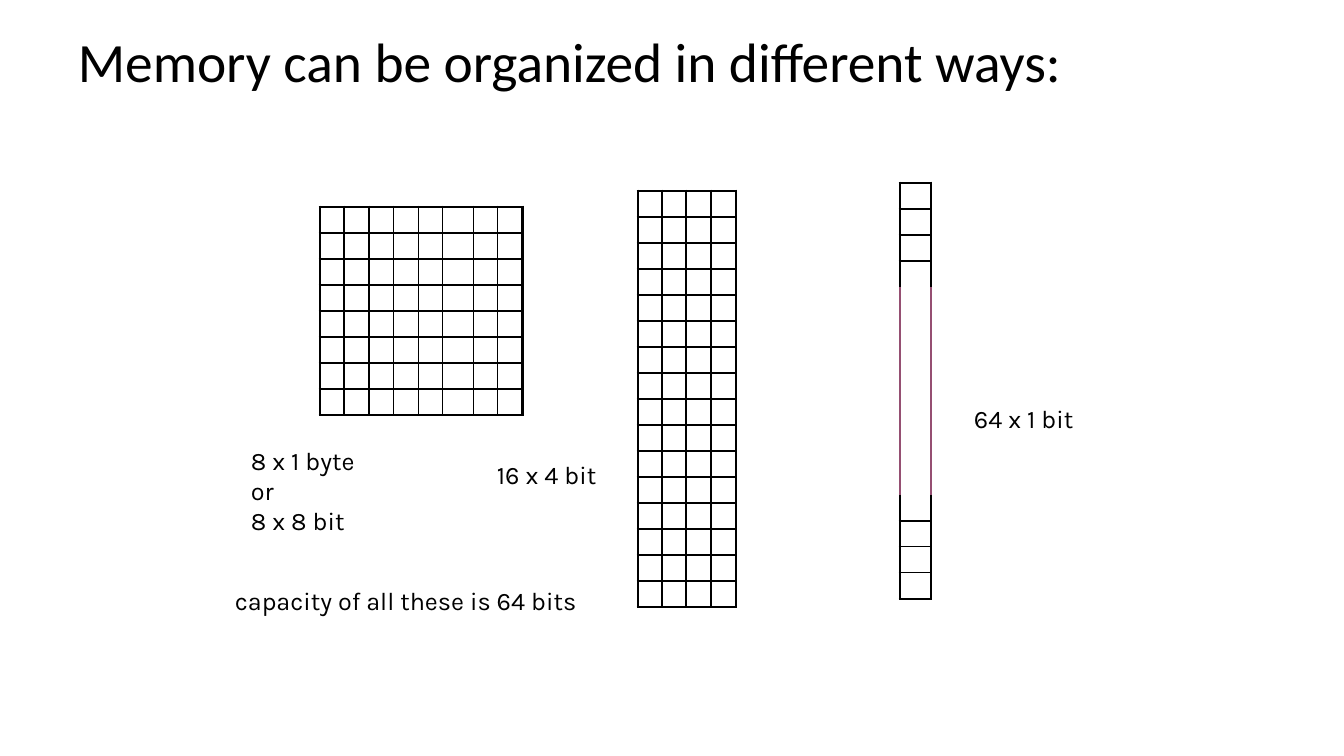
from lxml.etree import SubElement
from pptx import Presentation
from pptx.dml.color import RGBColor
from pptx.oxml.ns import qn
from pptx.util import Emu, Pt

BLACK = RGBColor(0x00, 0x00, 0x00)
PLUM = RGBColor(0x95, 0x4F, 0x72)
ROW_HEIGHT = 26
THICK, THIN = 2.25, 1


def px(n):
    return Emu(round(n * 914400 / 100.8))


def add_text(left, top, width, height, lines, size, font, wrap=True, spacing=None):
    box = slide.shapes.add_textbox(px(left), px(top), px(width), px(height))
    frame = box.text_frame
    frame.word_wrap = wrap
    for i, line in enumerate(lines):
        paragraph = frame.paragraphs[0] if i == 0 else frame.add_paragraph()
        if spacing:
            paragraph.line_spacing = spacing
        run = paragraph.add_run()
        run.text = line
        run.font.size = Pt(size)
        run.font.name = font
        run.font.color.rgb = BLACK


prs = Presentation()
prs.slide_width, prs.slide_height = px(1344), px(756)
slide = prs.slides.add_slide(prs.slide_layouts[6])

# Title
add_text(68, 30, 1210, 126, ["Memory can be organized in different ways:"],
         39.6, "Calibri", spacing=0.9)

# Memory grids: left, top, column widths, row count, rows left out of the drawing
memories = [
    (638, 191, [24, 24, 25, 25], 16, range(0)),
    (320, 207, [24, 25, 25, 25, 24, 31, 24, 25], 8, range(0)),
    (900, 183, [31], 16, range(4, 12)),
]
for left, top, widths, row_count, gap in memories:
    grid = slide.shapes.add_table(
        row_count, len(widths), px(left), px(top),
        px(sum(widths)), px(row_count * ROW_HEIGHT)).table
    grid.first_row = grid.horz_banding = False
    for column, width in zip(grid.columns, widths):
        column.width = px(width)
    for r, row in enumerate(grid.rows):
        row.height = px(ROW_HEIGHT)
        for c, cell in enumerate(row.cells):
            cell.margin_left = cell.margin_right = 0
            cell.margin_top = cell.margin_bottom = 0
            # Small empty text keeps the row at its height
            SubElement(cell.text_frame.paragraphs[0]._p,
                       qn("a:endParaRPr"), sz="800")

            # Outer edges are thick, inner ones thin, none across the gap
            in_gap = r in gap
            side_color = PLUM if in_gap else BLACK
            borders = {
                "a:lnL": THICK if c == 0 and not in_gap else THIN,
                "a:lnR": THICK if c == len(widths) - 1 and not in_gap else THIN,
                "a:lnT": THICK if r == 0 else THIN,
                "a:lnB": THICK if r == row_count - 1 else THIN,
            }
            if in_gap or r - 1 in gap:
                borders["a:lnT"] = 0
            if in_gap or r + 1 in gap:
                borders["a:lnB"] = 0
            properties = cell._tc.get_or_add_tcPr()
            for tag, weight in borders.items():
                edge = SubElement(properties, qn(tag), w=str(Pt(weight)))
                if weight:
                    fill = SubElement(edge, qn("a:solidFill"))
                    color = side_color if tag in ("a:lnL", "a:lnR") else BLACK
                    SubElement(fill, qn("a:srgbClr"), val=str(color))
                else:
                    SubElement(edge, qn("a:noFill"))
            cell.fill.background()

# Size labels
labels = [
    (241, 440, 132, 100, ["8 x 1 byte", "or", "8 x 8 bit"], False),
    (487, 454, 126, 40, ["16 x 4 bit"], False),
    (964, 398, 126, 40, ["64 x 1 bit"], False),
    (225, 580, 373, 40, ["capacity of all these is 64 bits"], True),
]
for left, top, width, height, lines, wrap in labels:
    add_text(left, top, width, height, lines, 18, "Karla", wrap)

prs.save("out.pptx")
